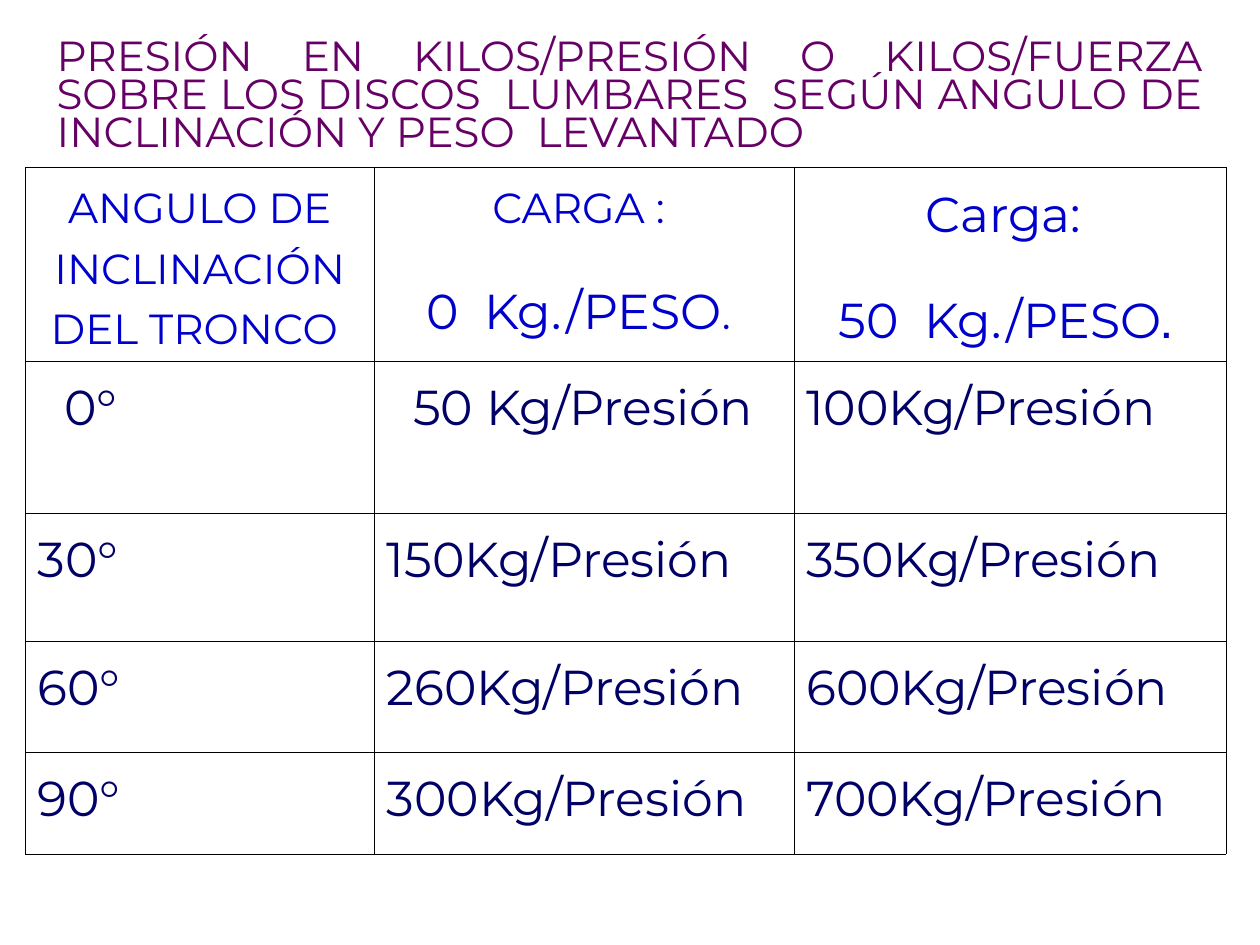
from dataclasses import dataclass
from lxml.etree import SubElement
from pptx import Presentation
from pptx.dml.color import RGBColor
from pptx.enum.text import MSO_ANCHOR, MSO_AUTO_SIZE, PP_ALIGN
from pptx.oxml.ns import qn
from pptx.util import Inches, Pt


@dataclass(frozen=True)
class Theme:
    font: str = "Montserrat"
    accent: str = "Arial"
    title: str = "660066"
    head: str = "0000CC"
    body: str = "000066"
    line: str = "000000"
    small: int = 20
    mid: int = 24
    large: int = 28
    thin: float = 0.06
    thick: float = 0.11


THEME = Theme()
COLS, ROWS = 100, 75
WIDTH, HEIGHT = Inches(10), Inches(7.5)

TITLE = ("PRESIÓN EN KILOS/PRESIÓN O KILOS/FUERZA SOBRE LOS DISCOS  LUMBARES  "
         "SEGÚN ANGULO DE INCLINACIÓN Y PESO  LEVANTADO ")
HEADS = [
    [("ANGULO DE INCLINACIÓN DEL TRONCO ", THEME.mid, 1.18, 0)],
    [("CARGA : ", THEME.mid, 1.18, 0), ("0  Kg./PESO", THEME.large, 1.63, 6)],
    [("Carga: ", THEME.large, 1.18, 0), ("50  Kg./PESO", THEME.large, 1.63, 5)],
]
DATA = [
    ("0°", "50 Kg/Presión", "100Kg/Presión"),
    ("30°", "150Kg/Presión", "350Kg/Presión"),
    ("60°", "260Kg/Presión", "600Kg/Presión"),
    ("90°", "300Kg/Presión", "700Kg/Presión"),
]
SPANS = (27.7, 33.3, 34.3)
TALLS = (15.2, 12, 10.2, 8.8, 8.1)


def across(count):
    return int(WIDTH * count / COLS)


def down(count):
    return int(HEIGHT * count / ROWS)


def style(run, size, color, font=THEME.font, bold=False):
    run.font.size = Pt(size)
    run.font.name = font
    run.font.bold = bold
    run.font.color.rgb = RGBColor.from_string(color)


def layout(para, align, space, before=0):
    para.alignment = align
    para.line_spacing = space
    para.space_before = Pt(before)


def edge(cell, sides):
    props = cell._tc.get_or_add_tcPr()
    for side, width in sides.items():
        line = SubElement(props, qn(f"a:ln{side}"), w=str(Pt(width)))
        fill = SubElement(line, qn("a:solidFill"))
        SubElement(fill, qn("a:srgbClr"), val=THEME.line)
    cell.fill.background()


def add_title(slide, left, top, width, height):
    title = slide.shapes.title
    title.left, title.top = across(left), down(top)
    title.width, title.height = across(width), down(height)
    frame = title.text_frame
    frame.word_wrap = True
    frame.auto_size = MSO_AUTO_SIZE.NONE
    frame.vertical_anchor = MSO_ANCHOR.TOP
    frame.text = TITLE
    para = frame.paragraphs[0]
    layout(para, PP_ALIGN.JUSTIFY, 0.75)
    style(para.runs[0], THEME.mid, THEME.title)


def fill_head(cell, lines, last):
    frame = cell.text_frame
    for index, (text, size, space, before) in enumerate(lines):
        para = frame.add_paragraph() if index else frame.paragraphs[0]
        para.text = text
        layout(para, PP_ALIGN.CENTER, space, before)
        style(para.runs[0], size, THEME.head)
        if index:
            dot = para.add_run()
            dot.text = ". "
            if last:
                style(dot, THEME.small, THEME.head, THEME.accent, True)
            else:
                style(dot, THEME.mid, THEME.head)


def fill_body(cell, text, align, indent):
    cell.text_frame.text = text
    para = cell.text_frame.paragraphs[0]
    if indent:
        para._p.get_or_add_pPr().set("marL", str(across(indent)))
    layout(para, align, 1.18)
    style(para.runs[0], THEME.large, THEME.body)


def add_grid(slide, left, top):
    frame = slide.shapes.add_table(
        len(TALLS), len(SPANS), across(left), down(top),
        across(sum(SPANS)), down(sum(TALLS)))
    table = frame.table
    table.first_row = table.horz_banding = False
    for column, span in zip(table.columns, SPANS):
        column.width = across(span)
    for row, tall in zip(table.rows, TALLS):
        row.height = down(tall)
    end, foot = len(SPANS) - 1, len(TALLS) - 1
    for r in range(len(TALLS)):
        for c in range(len(SPANS)):
            cell = table.cell(r, c)
            outer = {"L": c == 0, "R": c == end, "T": r == 0, "B": r == foot}
            edge(cell, {side: THEME.thick if out else THEME.thin
                        for side, out in outer.items()})
            if r == 0:
                fill_head(cell, HEADS[c], c == end)
            else:
                align = PP_ALIGN.JUSTIFY if r == 1 or c == 0 else PP_ALIGN.LEFT
                fill_body(cell, DATA[r - 1][c], align, 2.1 if r == 1 and c < end else 0)


def main():
    deck = Presentation()
    deck.slide_width, deck.slide_height = WIDTH, HEIGHT
    slide = deck.slides.add_slide(deck.slide_layouts[5])
    add_title(slide, 3.5, 2.8, 92.9, 10)
    add_grid(slide, 2, 13.3)
    deck.save("out.pptx")


if __name__ == "__main__":
    main()
